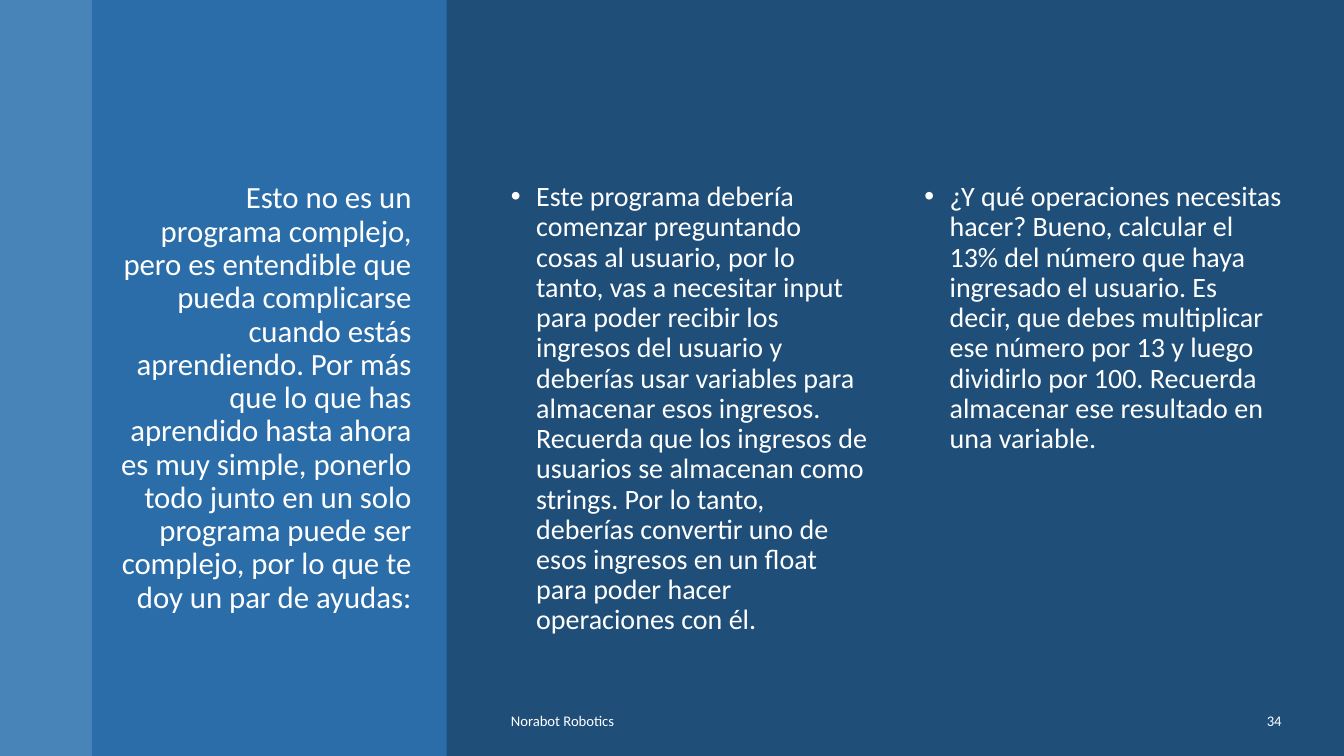
from dataclasses import dataclass

from lxml import etree
from pptx import Presentation
from pptx.dml.color import RGBColor
from pptx.enum.shapes import MSO_SHAPE
from pptx.enum.text import MSO_ANCHOR, PP_ALIGN
from pptx.oxml.ns import qn
from pptx.util import Inches, Pt

RECTANGLE = MSO_SHAPE.RECTANGLE
TOP, MIDDLE = MSO_ANCHOR.TOP, MSO_ANCHOR.MIDDLE
LEFT, RIGHT = PP_ALIGN.LEFT, PP_ALIGN.RIGHT


@dataclass(frozen=True)
class Theme:
    font: str = "Calibri"
    background: str = "1F4E79"
    strip: str = "5B9BD5"
    panel: str = "2E75B6"
    text: str = "FFFFFF"
    title_size: float = 22
    body_size: float = 20
    footer_size: float = 10.5


class SlideBuilder:
    def __init__(self, presentation, theme):
        self.theme = theme
        self.width = presentation.slide_width
        self.height = presentation.slide_height
        self.slide = presentation.slides.add_slide(presentation.slide_layouts[6])
        fill = self.slide.background.fill
        fill.solid()
        fill.fore_color.rgb = RGBColor.from_string(theme.background)

    def place(self, left, top, width, height):
        return (
            round(self.width * left / 100),
            round(self.height * top / 100),
            round(self.width * width / 100),
            round(self.height * height / 100),
        )

    def band(self, left, width, color, opacity):
        shape = self.slide.shapes.add_shape(RECTANGLE, *self.place(left, 0, width, 100))
        shape.shadow.inherit = False
        shape.line.fill.background()
        shape.fill.solid()
        shape.fill.fore_color.rgb = RGBColor.from_string(color)
        color_element = shape.fill._xPr.find(qn("a:solidFill"))[0]
        etree.SubElement(color_element, qn("a:alpha"), val=str(opacity * 1000))

    def text(self, box, words, size, align=LEFT, anchor=TOP, spacing=1.0, bullet=False):
        frame = self.slide.shapes.add_textbox(*self.place(*box)).text_frame
        frame.word_wrap = True
        frame.vertical_anchor = anchor
        paragraph = frame.paragraphs[0]
        paragraph.text = words
        paragraph.alignment = align
        paragraph.line_spacing = spacing
        if bullet:
            self.add_bullet(paragraph)
        paragraph.font.name = self.theme.font
        paragraph.font.size = Pt(size)
        paragraph.font.color.rgb = RGBColor.from_string(self.theme.text)

    def add_bullet(self, paragraph):
        properties = paragraph._p.get_or_add_pPr()
        properties.set("marL", str(Inches(0.25)))
        properties.set("indent", str(Inches(-0.25)))
        etree.SubElement(properties, qn("a:buFont"), typeface="Arial")
        etree.SubElement(properties, qn("a:buChar"), char="•")


TITLE = (
    "Esto no es un programa complejo, pero es entendible que pueda complicarse "
    "cuando estás aprendiendo. Por más que lo que has aprendido hasta ahora es muy "
    "simple, ponerlo todo junto en un solo programa puede ser complejo, por lo que "
    "te doy un par de ayudas:"
)
HINTS = (
    "Este programa debería comenzar preguntando cosas al usuario, por lo tanto, vas "
    "a necesitar input para poder recibir los ingresos del usuario y deberías usar "
    "variables para almacenar esos ingresos. Recuerda que los ingresos de usuarios "
    "se almacenan como strings. Por lo tanto, deberías convertir uno de esos "
    "ingresos en un float para poder hacer operaciones con él.",
    "¿Y qué operaciones necesitas hacer? Bueno, calcular el 13% del número que haya "
    "ingresado el usuario. Es decir, que debes multiplicar ese número por 13 y luego "
    "dividirlo por 100. Recuerda almacenar ese resultado en una variable.",
)
STRIP_WIDTH, PANEL_WIDTH = 6.83, 26.41
TEXT_TOP, TEXT_HEIGHT = 23.47, 65.6
HINT_LEFT, HINT_WIDTH, HINT_PITCH = 37.28, 28.06, 30.76
FOOTER_TOP, FOOTER_HEIGHT = 92.67, 5.33


def main():
    presentation = Presentation()
    presentation.slide_width, presentation.slide_height = Inches(13.33), Inches(7.5)
    theme = Theme()
    builder = SlideBuilder(presentation, theme)

    builder.band(0, STRIP_WIDTH, theme.strip, 70)
    builder.band(STRIP_WIDTH, PANEL_WIDTH, theme.panel, 80)
    builder.text((8.18, TEXT_TOP, 23.18, TEXT_HEIGHT), TITLE, theme.title_size,
                 align=RIGHT, spacing=0.9)
    for column, hint in enumerate(HINTS):
        box = (HINT_LEFT + column * HINT_PITCH, TEXT_TOP, HINT_WIDTH, TEXT_HEIGHT)
        builder.text(box, hint, theme.body_size, spacing=0.9, bullet=True)

    builder.text((HINT_LEFT, FOOTER_TOP, 46.66, FOOTER_HEIGHT), "Norabot Robotics",
                 theme.footer_size, anchor=MIDDLE)
    builder.text((84.92, FOOTER_TOP, 11.18, FOOTER_HEIGHT), "34",
                 theme.footer_size, align=RIGHT, anchor=MIDDLE)
    presentation.save("out.pptx")


if __name__ == "__main__":
    main()
